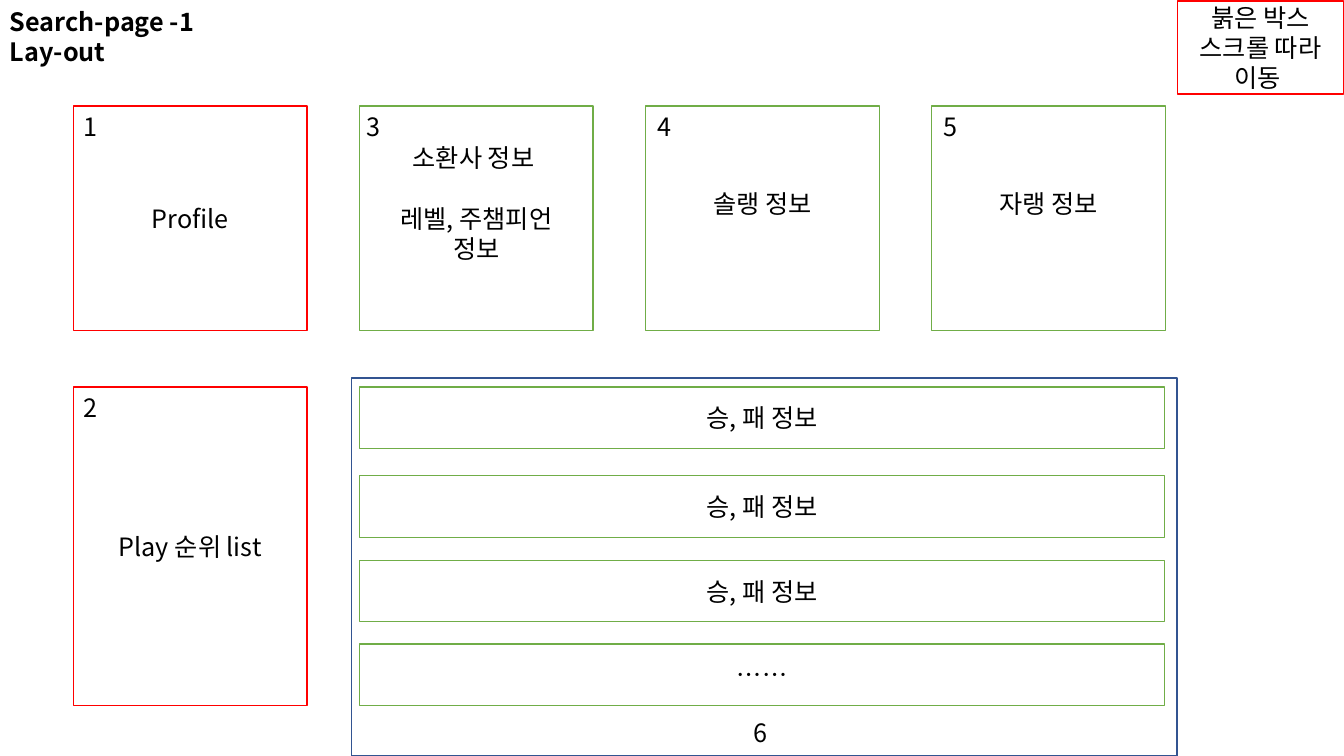
from dataclasses import dataclass
from typing import Optional

import lxml.etree
import pptx
import pptx.dml.color
import pptx.enum.shapes
import pptx.enum.text
import pptx.oxml.ns
import pptx.util

Cm, Pt = pptx.util.Cm, pptx.util.Pt
RGBColor = pptx.dml.color.RGBColor
PP_ALIGN = pptx.enum.text.PP_ALIGN
MSO_ANCHOR = pptx.enum.text.MSO_ANCHOR

WHITE = RGBColor(0xFF, 0xFF, 0xFF)
BLACK = RGBColor(0x00, 0x00, 0x00)
RED = RGBColor(0xFF, 0x00, 0x00)
GREEN = RGBColor(0x70, 0xAD, 0x47)
BLUE = RGBColor(0x32, 0x54, 0x91)

FONT = "Noto Sans CJK KR"
LINE_PT = 21.5  # height of one text line
LINE_CM = 0.76

LEFT, COLUMN_STEP = 1.85, 7.21
CARD_TOP, CARD_W, CARD_H = 2.67, 5.89, 5.66
LIST_TOP, LIST_H = 9.75, 8.03
RESULT_W, RESULT_H = 20.29, 1.55


@dataclass
class Box:
    """A bordered panel, in centimetres; gap_at is the line preceded by a gap."""
    left: float
    top: float
    width: float
    height: float
    color: RGBColor
    lines: tuple[str, ...] = ()
    raised: bool = False
    gap_at: Optional[int] = None


@dataclass
class Label:
    """Plain text, in centimetres."""
    left: float
    top: float
    text: str
    width: float = 0.94
    height: float = 1.02
    bold: bool = False


def add_run(p, text: str, bold: bool = False) -> None:
    """Add one run in the slide's font to a paragraph."""
    r = p.add_run()
    r.text = text
    r.font.size = Pt(18)
    r.font.bold = bold
    r.font.color.rgb = BLACK
    r.font.name = FONT
    ea = lxml.etree.SubElement(r.font._element, pptx.oxml.ns.qn("a:ea"))
    ea.set("typeface", FONT)


def add_box(s, box: Box) -> None:
    """Draw a white rectangle with centred lines of text."""
    sp = s.shapes.add_shape(
        pptx.enum.shapes.MSO_SHAPE.RECTANGLE,
        Cm(box.left), Cm(box.top), Cm(box.width), Cm(box.height))
    sp.shadow.inherit = False
    sp.fill.solid()
    sp.fill.fore_color.rgb = WHITE
    sp.line.color.rgb = box.color
    sp.line.width = Pt(1)
    tf = sp.text_frame
    tf.word_wrap = True
    tf.vertical_anchor = MSO_ANCHOR.MIDDLE
    if box.raised:
        tf.margin_bottom = Cm(0.13 + LINE_CM)
    for i, text in enumerate(box.lines):
        p = tf.paragraphs[0] if i == 0 else tf.add_paragraph()
        p.alignment = PP_ALIGN.CENTER
        if i == box.gap_at:
            p.space_before = Pt(LINE_PT)
        add_run(p, text)


def add_label(s, label: Label) -> None:
    """Draw a text box, one paragraph for each line."""
    sp = s.shapes.add_textbox(
        Cm(label.left), Cm(label.top), Cm(label.width), Cm(label.height))
    tf = sp.text_frame
    tf.word_wrap = True
    for i, text in enumerate(label.text.split("\n")):
        p = tf.paragraphs[0] if i == 0 else tf.add_paragraph()
        add_run(p, text, label.bold)


def card(column: int, color: RGBColor, *lines: str, raised: bool = False,
         gap_at: Optional[int] = None) -> Box:
    """Return a top-row card in the given column."""
    return Box(LEFT + column * COLUMN_STEP, CARD_TOP, CARD_W, CARD_H,
               color, lines, raised, gap_at)


RESULTS = [(LIST_TOP, "승, 패 정보"), (11.99, "승, 패 정보"),
           (14.12, "승, 패 정보"), (16.23, "……")]

BOXES = [
    Box(8.86, 9.53, 20.8, 9.52, BLUE),
    card(0, RED, "Profile"),
    card(1, GREEN, "소환사 정보 ", "레벨, 주챔피언", "정보", raised=True, gap_at=1),
    card(2, GREEN, "솔랭 정보", raised=True),
    card(3, GREEN, "자랭 정보", raised=True),
    Box(LEFT, LIST_TOP, CARD_W, LIST_H, RED, ("Play 순위 list",)),
    *(Box(LEFT + COLUMN_STEP, top, RESULT_W, RESULT_H, GREEN, (text,))
      for top, text in RESULTS),
    Box(29.67, 0.03, 4.19, 2.34, RED, ("붉은 박스", "스크롤 따라 이동 ")),
]

LABELS = [
    Label(0, 0.03, "Search-page -1\nLay-out", 5.59, 1.8, bold=True),
    Label(LEFT, CARD_TOP, "1"),
    Label(LEFT, LIST_TOP, "2"),
    Label(8.99, CARD_TOP, "3"),
    Label(16.33, CARD_TOP, "4"),
    Label(23.52, CARD_TOP, "5"),
    Label(18.75, 17.96, "6"),
]

prs = pptx.Presentation()
prs.slide_width, prs.slide_height = Cm(33.87), Cm(19.05)
s = prs.slides.add_slide(prs.slide_layouts[6])
for box in BOXES:
    add_box(s, box)
for label in LABELS:
    add_label(s, label)
prs.save("out.pptx")
